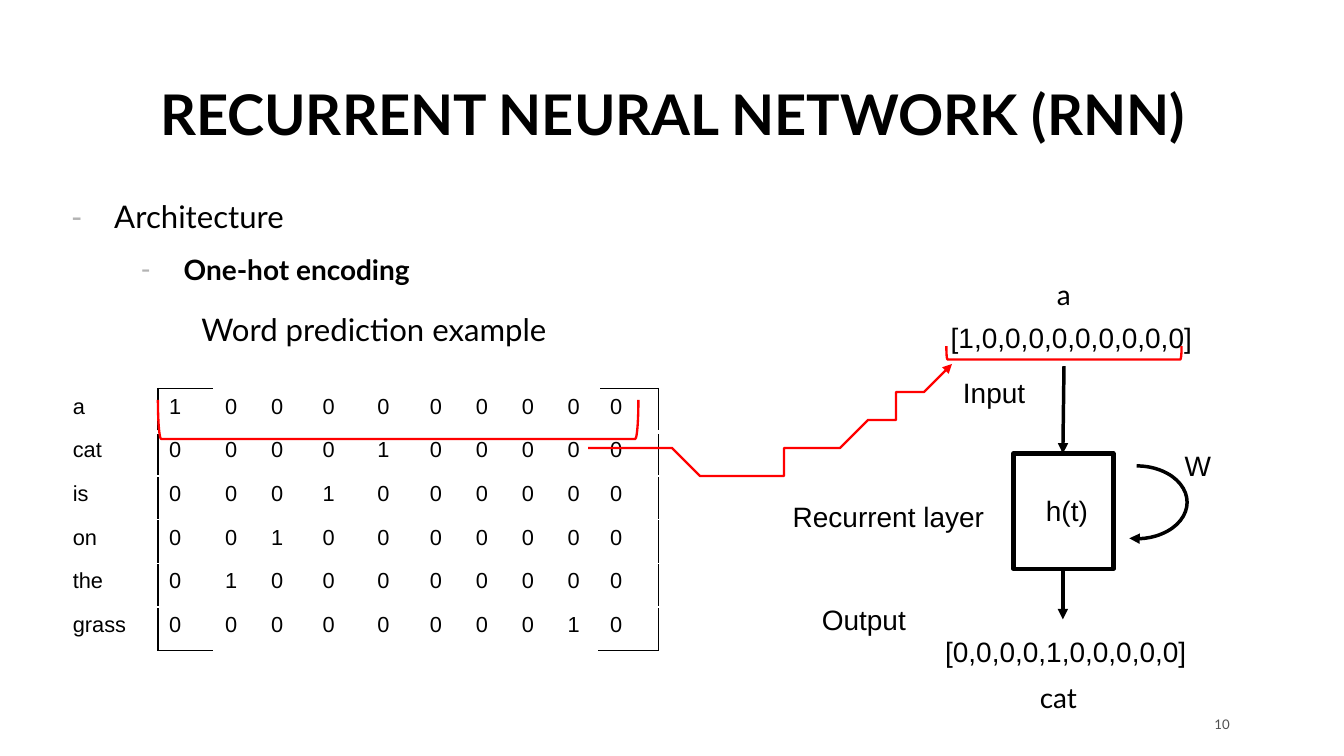
import lxml.etree
import pptx
import pptx.dml.color
import pptx.enum.shapes
import pptx.enum.text
import pptx.oxml.ns
import pptx.util

COLORS = {"ink": "000000", "paper": "FFFFFF", "accent": "FF0000",
          "bullet": "B3B3B3", "number": "505050"}
CELL = 0.25  # the slide is a grid of 48 columns by 27 rows
SHAPES = pptx.enum.shapes.MSO_SHAPE
ALIGN = pptx.enum.text.PP_ALIGN
ANCHOR = pptx.enum.text.MSO_ANCHOR

WORDS = {"a": 0, "cat": 4, "is": 3, "on": 2, "the": 1, "grass": 8}
TABLE_COLUMNS = [3.44, 2, 1.64, 1.84, 1.96, 1.88, 1.64, 1.64, 1.64, 1.52, 2.12]
TABLE_ROW = 1.56

# text, column, row, width, height
DIAGRAM_LABELS = [
    ("Input", 34, 13.2, 3.04, 1.6),
    ("Output", 28.96, 21.32, 3.84, 1.6),
    ("Recurrent layer", 27.92, 17.64, 7.72, 1.6),
    ("[1,0,0,0,0,0,0,0,0,0]", 33.56, 11.24, 9.52, 1.6),
    ("W", 41.92, 15.84, 1.76, 1.6),
    ("h(t)", 36.96, 17.44, 2.32, 1.6),
    ("[0,0,0,0,1,0,0,0,0,0]", 33.36, 22.48, 9.52, 1.6),
]
WORD_LABELS = [("a", 37.32, 9.84, 1.36, 1.48), ("cat", 36.68, 24.24, 2.24, 1.48)]
ARROWS = [(38, 13.08, 37.96, 16.2), (37.96, 20.32, 37.96, 22.12)]
BRACKETS = [(13.52, 6.4, 1.4, 17.16), (37.76, 8.4, 0.48, 8.4)]
LINK_CURVES = [
    [(21.12, 15.72), (23.52, 16.36), (25.92, 17.04), (28.08, 16.6)],
    [(28.08, 16.6), (30.28, 16.16), (33.12, 13.72), (34.24, 13.12)],
]


def grid(*cells):
    return [pptx.util.Inches(cell * CELL) for cell in cells]


def rgb(name):
    return pptx.dml.color.RGBColor.from_string(COLORS[name])


def add_xml(parent, tag, **attributes):
    return lxml.etree.SubElement(parent, pptx.oxml.ns.qn(tag), attributes)


def assign(target, **values):
    for name, value in values.items():
        setattr(target, name, value)


def write(para, text, size, font="Lato", color="ink", bold=False, **layout):
    assign(para, **layout)
    span = para.add_run()
    span.text = text
    assign(span.font, name=font, size=pptx.util.Pt(size), bold=bold)
    span.font.color.rgb = rgb(color)


def place(shape, *cells):
    assign(shape, **dict(zip(("left", "top", "width", "height"), grid(*cells))))


def style_line(shape, color, width, arrow=False):
    shape.line.color.rgb = rgb(color)
    shape.line.width = pptx.util.Pt(width)
    if arrow:
        add_xml(shape.line._get_or_add_ln(), "a:tailEnd", type="triangle")


def add_label(page, cells, text, size, wrap=False, anchor=ANCHOR.TOP, margin=None, **style):
    box = page.shapes.add_textbox(*grid(*cells))
    frame = box.text_frame
    assign(frame, word_wrap=wrap, vertical_anchor=anchor)
    if margin is not None:
        assign(frame, margin_left=margin, margin_right=margin,
               margin_top=margin, margin_bottom=margin)
    write(frame.paragraphs[0], text, size, **style)


def add_outline(page, kind, cells, color, width, arrow=False):
    shape = page.shapes.add_shape(kind, *grid(*cells))
    shape.shadow.inherit = False
    shape.fill.background()
    style_line(shape, color, width, arrow)
    return shape


def add_arrow(page, cells):
    arrow = page.shapes.add_connector(
        pptx.enum.shapes.MSO_CONNECTOR.STRAIGHT, *grid(*cells))
    style_line(arrow, "ink", 2.25, arrow=True)
    add_xml(arrow._element.spPr, "a:effectLst")


def bezier(points, share):
    """Return the point at a share (0 to 1) of a cubic curve."""
    weights = [(1 - share) ** 3, 3 * share * (1 - share) ** 2,
               3 * share ** 2 * (1 - share), share ** 3]
    return tuple(sum(w * point[axis] for w, point in zip(weights, points))
                 for axis in (0, 1))


def add_link(page, curves, steps=16):
    """Draw joined cubic curves that end in an arrowhead."""
    points = [bezier(curve, step / steps)
              for curve in curves for step in range(1, steps + 1)]
    builder = page.shapes.build_freeform(*curves[0][0], scale=pptx.util.Inches(CELL))
    builder.add_line_segments(points, close=False)
    link = builder.convert_to_shape()
    link.shadow.inherit = False
    link.fill.background()
    style_line(link, "accent", 1.5, arrow=True)


def add_bullet(para, text, size, indent, **style):
    properties = para._p.get_or_add_pPr()
    properties.set("marL", str(pptx.util.Inches(indent)))
    properties.set("indent", str(pptx.util.Inches(-0.38)))
    add_xml(add_xml(properties, "a:buClr"), "a:srgbClr", val=COLORS["bullet"])
    add_xml(properties, "a:buChar", char="-")
    write(para, text, size, space_before=pptx.util.Pt(0), **style)


def set_borders(cell, borders):
    """Set (side, colour, width) borders; they must precede the cell's fill."""
    properties = cell._tc.get_or_add_tcPr()
    for index, (side, color, width) in enumerate(borders):
        line = add_xml(properties, "a:ln" + side, w=str(pptx.util.Pt(width)))
        add_xml(add_xml(line, "a:solidFill"), "a:srgbClr", val=COLORS[color])
        properties.insert(index, line)


def add_one_hot_table(page):
    last_row, last_column = len(WORDS) - 1, len(TABLE_COLUMNS) - 1
    table = page.shapes.add_table(
        last_row + 1, last_column + 1,
        *grid(2.2, 13.88, sum(TABLE_COLUMNS), TABLE_ROW * len(WORDS))).table
    assign(table, first_row=False, horz_banding=False)
    for column, width in zip(table.columns, grid(*TABLE_COLUMNS)):
        column.width = width
    for row, (word, hot) in enumerate(WORDS.items()):
        table.rows[row].height = grid(TABLE_ROW)[0]
        values = [word] + [str(int(index == hot)) for index in range(last_column)]
        for column, value in enumerate(values):
            cell = table.cell(row, column)
            cell.fill.background()
            write(cell.text_frame.paragraphs[0], value, 14, "Arial")
            corner = column in (1, last_column)
            inked = {"L": column == 1, "R": column in (0, last_column),
                     "T": corner and row == 0, "B": corner and row == last_row}
            set_borders(cell, [
                (side, "ink" if dark else "paper", 3 if side == "B" and row == 0 else 1)
                for side, dark in inked.items()])


def fill_placeholders(page):
    title, body = page.shapes.title, page.placeholders[1]
    place(title, 2.2, 2.88, 43.64, 2.6)
    place(body, 2.16, 7, 43.52, 16.28)
    for holder, anchor in ((title, ANCHOR.BOTTOM), (body, ANCHOR.TOP)):
        assign(holder.text_frame, vertical_anchor=anchor, word_wrap=True,
               auto_size=pptx.enum.text.MSO_AUTO_SIZE.NONE)
    write(title.text_frame.paragraphs[0], "RECURRENT NEURAL NETWORK (RNN)", 36,
          bold=True, alignment=ALIGN.CENTER, line_spacing=0.9)
    frame = body.text_frame
    add_bullet(frame.paragraphs[0], "Architecture", 20, 0.38, line_spacing=0.9)
    add_bullet(frame.add_paragraph(), "One-hot encoding", 18, 1,
               bold=True, level=1, line_spacing=1.5)


def main():
    deck = pptx.Presentation()
    deck.slide_width, deck.slide_height = grid(48, 27)
    page = deck.slides.add_slide(deck.slide_layouts[1])
    fill_placeholders(page)
    add_label(page, (42.72, 25.52, 1.2, 0.72), "10", 8.5, color="number",
              anchor=ANCHOR.MIDDLE, margin=0, wrap=True, alignment=ALIGN.RIGHT)

    add_outline(page, SHAPES.RECTANGLE, (36.2, 16.2, 3.56, 4.12), "ink", 3)
    for cells in ARROWS:
        add_arrow(page, cells)
    loop = add_outline(page, SHAPES.ARC, (38.8, 16.64, 3.6, 2.6), "ink", 2.25, arrow=True)
    loop.adjustments[0], loop.adjustments[1] = 162, 60.98
    for text, *cells in DIAGRAM_LABELS:
        add_label(page, cells, text, 18, font="Arial")

    add_one_hot_table(page)
    for cells in BRACKETS:
        add_outline(page, SHAPES.LEFT_BRACKET, cells, "accent", 1.5).rotation = 270
    add_label(page, (6.8, 11.04, 17.2, 2), "Word prediction example", 20,
              wrap=True, line_spacing=0.9)
    add_link(page, LINK_CURVES)
    for text, *cells in WORD_LABELS:
        add_label(page, cells, text, 18, anchor=ANCHOR.MIDDLE,
                  alignment=ALIGN.CENTER, line_spacing=0.9)
    deck.save("out.pptx")


if __name__ == "__main__":
    main()
